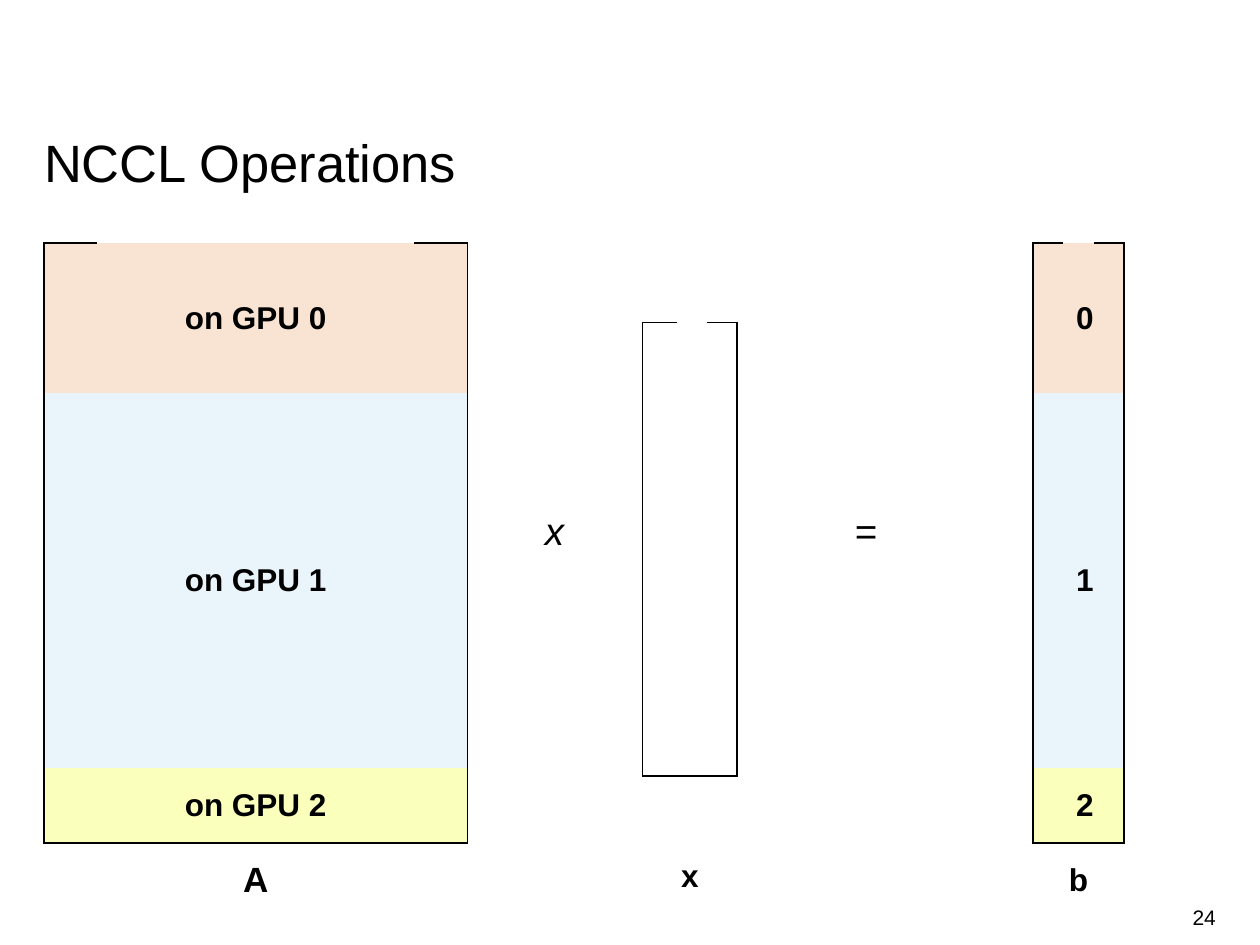
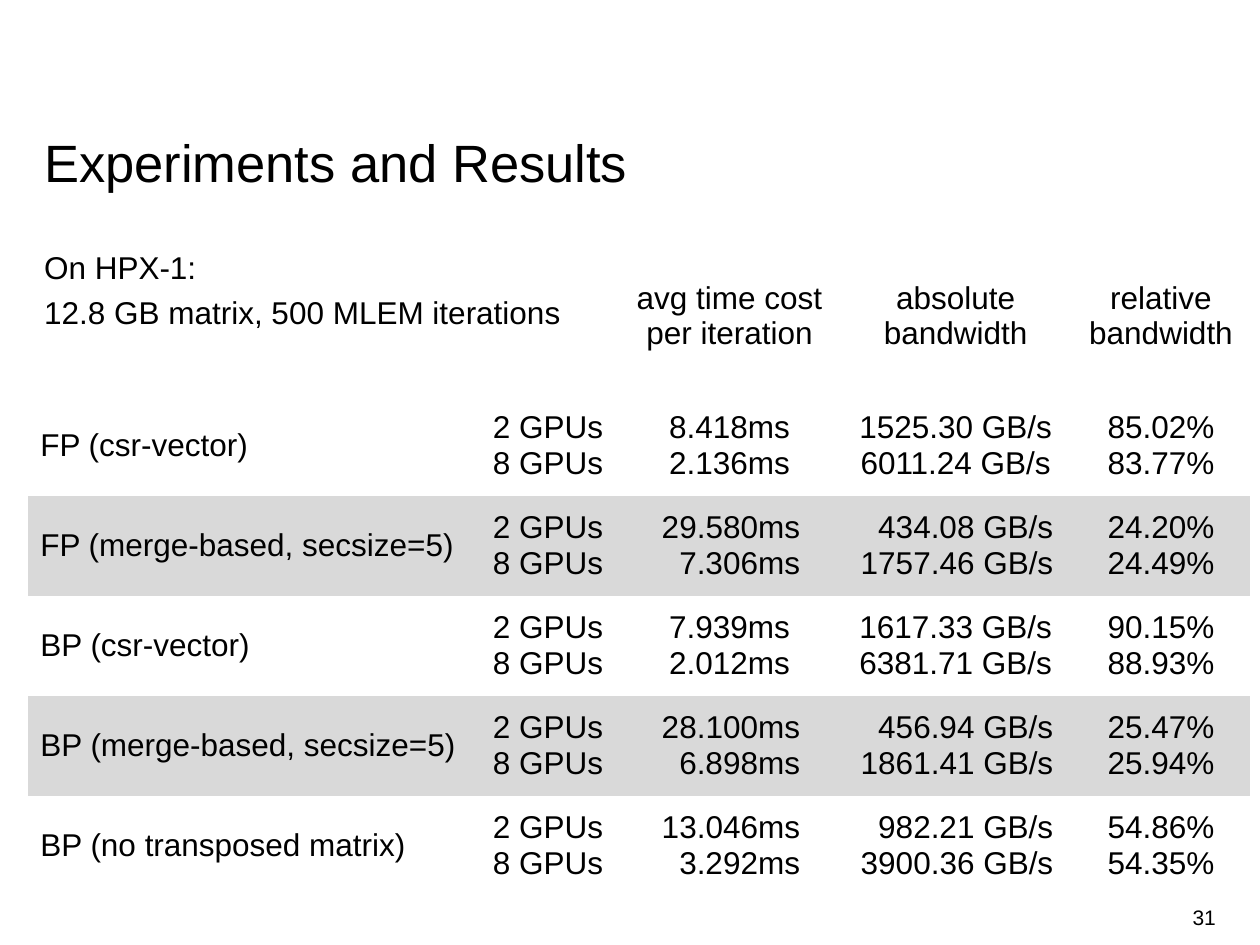
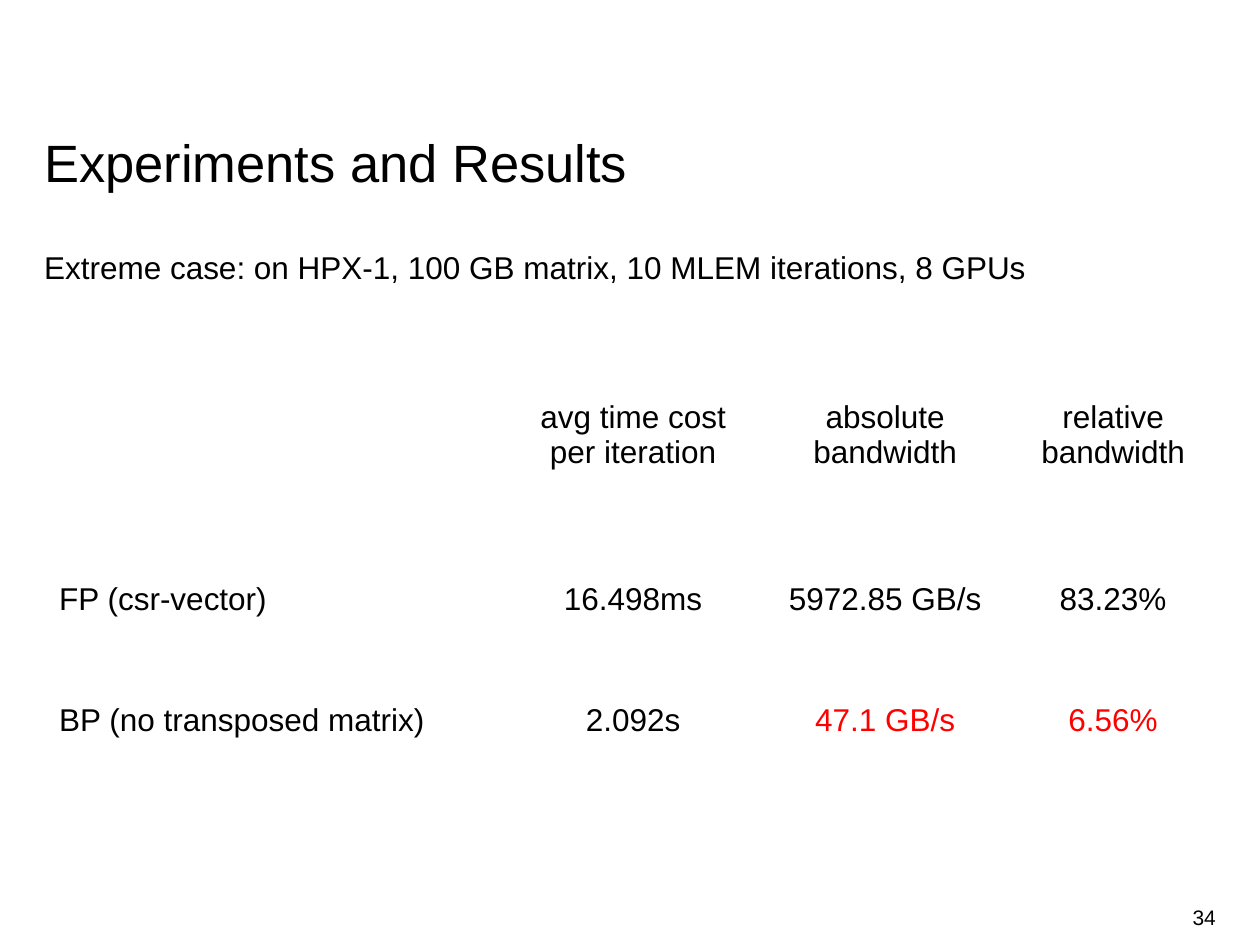
from lxml import etree
from pptx import Presentation
from pptx.dml.color import RGBColor
from pptx.enum.text import MSO_ANCHOR, PP_ALIGN
from pptx.oxml.ns import qn
from pptx.util import Inches, Pt

LEFT, CENTER, RIGHT = PP_ALIGN.LEFT, PP_ALIGN.CENTER, PP_ALIGN.RIGHT
TOP, MIDDLE, BOTTOM = MSO_ANCHOR.TOP, MSO_ANCHOR.MIDDLE, MSO_ANCHOR.BOTTOM
PLAIN_TABLE = "{2D5ABB26-0587-4C30-8999-92F81FD0307C}"
BLACK, WHITE, RED, GREY = "000000", "FFFFFF", "FF0000", "D9D9D9"
PEACH, SKY, LEMON = "F9E3D3", "EAF4FB", "FBFFBC"
COLUMNS, ROWS = 100, 75
BANDS = (2, 5, 1)


def rgb(color):
    return RGBColor.from_string(color)


class Deck:
    font = "Arial"
    margin = 3.5
    body_width = 93.1

    def __init__(self):
        self.prs = Presentation()
        self.prs.slide_width, self.prs.slide_height = Inches(10), Inches(7.5)
        self.slide = None

    def x(self, columns):
        return round(self.prs.slide_width * columns / COLUMNS)

    def y(self, rows):
        return round(self.prs.slide_height * rows / ROWS)

    def box(self, left, top, width, height):
        return self.x(left), self.y(top), self.x(width), self.y(height)

    def new_slide(self, title, number):
        self.slide = self.prs.slides.add_slide(self.prs.slide_layouts[6])
        self.text(title, self.margin, 10.9, self.body_width, 4.5, size=30, spacing=Pt(32))
        self.text(number, 74.1, 70.8, 22.4, 4, size=12, align=RIGHT, anchor=MIDDLE)

    def fill_text(self, tf, text, size=18, color=BLACK, bold=False, italic=False, align=LEFT, spacing=None):
        tf.text = text
        for p in tf.paragraphs:
            p.alignment = align
            if spacing:
                p.line_spacing = spacing
            for r in p.runs:
                r.font.name, r.font.size = self.font, Pt(size)
                r.font.bold, r.font.italic = bold, italic
                r.font.color.rgb = rgb(color)

    def text(self, text, left, top, width, height, anchor=TOP, **style):
        tf = self.slide.shapes.add_textbox(*self.box(left, top, width, height)).text_frame
        tf.word_wrap = True
        tf.vertical_anchor = anchor
        tf.margin_left = tf.margin_right = tf.margin_top = tf.margin_bottom = 0
        self.fill_text(tf, text, **style)
        return tf

    def body(self, text):
        tf = self.text(text, self.margin, 19.3, self.body_width, 9, spacing=1.14)
        for p in tf.paragraphs:
            p.space_after = Pt(1)

    def table(self, left, top, widths, heights):
        frame = self.slide.shapes.add_table(
            len(heights), len(widths), *self.box(left, top, sum(widths), sum(heights)))
        tbl = frame.table
        tbl.first_row = tbl.horz_banding = False
        frame._element.find(".//" + qn("a:tableStyleId")).text = PLAIN_TABLE
        for column, width in zip(tbl.columns, widths):
            column.width = self.x(width)
        for row, height in zip(tbl.rows, heights):
            row.height = self.y(height)
        return tbl

    def cell(self, cell, text="", fill=None, sides="", anchor=MIDDLE, **style):
        tcPr = cell._tc.get_or_add_tcPr()
        for side in "LRTB":
            if side in sides:
                ln = etree.SubElement(tcPr, qn(f"a:ln{side}"), w=str(Pt(1)))
                solid = etree.SubElement(ln, qn("a:solidFill"))
                etree.SubElement(solid, qn("a:srgbClr"), val=BLACK)
        if fill:
            cell.fill.solid()
            cell.fill.fore_color.rgb = rgb(fill)
        else:
            cell.fill.background()
        cell.vertical_anchor = anchor
        if text:
            self.fill_text(cell.text_frame, text.replace("\n", "\v"), **style)

    def matrix(self, left, top, widths, row, caption_row, labels, fills, caption, size=18, anchor=MIDDLE):
        count = sum(BANDS)
        tbl = self.table(left, top, widths, [row] * count + [caption_row])
        start = 0
        for span, label, fill in zip(BANDS, labels, fills):
            end = start + span - 1
            for i in range(start, start + span):
                ends = "T" * (i == 0) + "B" * (i == count - 1)
                self.cell(tbl.cell(i, 0), fill=fill, sides="L" + ends)
                self.cell(tbl.cell(i, 2), fill=fill, sides="R" + ends)
            middle = tbl.cell(start, 1)
            if span > 1:
                middle.merge(tbl.cell(end, 1))
            self.cell(middle, label, fill, "B" * (end == count - 1), bold=True, align=CENTER)
            start += span
        tbl.cell(count, 0).merge(tbl.cell(count, 2))
        self.cell(tbl.cell(count, 0), caption, sides="T", anchor=anchor,
                  size=size, bold=True, align=CENTER)

    def results(self, left, top, widths, heights, rows, bands=(), colors=None, insets=None):
        tbl = self.table(left, top, widths, heights)
        for i, row in enumerate(rows):
            for j, text in enumerate(row):
                cell = tbl.cell(i, j)
                align = CENTER if j else LEFT
                ragged = len({len(line) for line in text.split("\n")}) > 1
                if i and ragged and insets and j in insets:
                    align = RIGHT
                    cell.margin_right = self.x(insets[j])
                self.cell(cell, text, GREY if i in bands else None, align=align,
                          color=(colors or {}).get((i, j), BLACK))


def main():
    deck = Deck()
    headings = ["avg time cost\nper iteration", "absolute\nbandwidth", "relative\nbandwidth"]
    fills = (PEACH, SKY, LEMON)

    deck.new_slide("NCCL Operations", "24")
    for sign, left in (("x", 42), ("=", 66.7)):
        deck.text(sign, left, 40.1, 4, 4, size=22, italic=True, align=CENTER, anchor=MIDDLE)
    deck.matrix(3.5, 19.3, (4.2, 25.2, 4.2), 5.95, 5.95,
                [f"on GPU {n}" for n in range(3)], fills, "A", size=20)
    deck.matrix(82, 19.3, (2.4, 2.4, 2.4), 5.95, 5.95, "012", fills, "b")
    deck.matrix(51, 25.6, (2.7, 2.4, 2.4), 4.5, 9.9, [""] * 3, [WHITE] * 3, "x", anchor=BOTTOM)

    deck.new_slide("Experiments and Results", "31")
    deck.body("On HPX-1:\n12.8 GB matrix, 500 MLEM iterations")
    measurements = [
        ("FP (csr-vector)", "8.418ms\n2.136ms", "1525.30 GB/s\n6011.24 GB/s", "85.02%\n83.77%"),
        ("FP (merge-based, secsize=5)", "29.580ms\n7.306ms", "434.08 GB/s\n1757.46 GB/s", "24.20%\n24.49%"),
        ("BP (csr-vector)", "7.939ms\n2.012ms", "1617.33 GB/s\n6381.71 GB/s", "90.15%\n88.93%"),
        ("BP (merge-based, secsize=5)", "28.100ms\n6.898ms", "456.94 GB/s\n1861.41 GB/s", "25.47%\n25.94%"),
        ("BP (no transposed matrix)", "13.046ms\n3.292ms", "982.21 GB/s\n3900.36 GB/s", "54.86%\n54.35%"),
    ]
    rows = [["", ""] + headings]
    rows += [[name, "2 GPUs\n8 GPUs", *values] for name, *values in measurements]
    deck.results(2.2, 18.8, (35.6, 11.4, 17.4, 18.5, 14.1), [12.6] + [7.94] * 5, rows,
                 bands=(2, 4), insets={2: 3.1, 3: 1.5})

    deck.new_slide("Experiments and Results", "34")
    deck.body("Extreme case: on HPX-1, 100 GB matrix, 10 MLEM iterations, 8 GPUs")
    rows = [
        [""] + headings,
        ["FP (csr-vector)", "16.498ms", "5972.85 GB/s", "83.23%"],
        ["BP (no transposed matrix)", "2.092s", "47.1 GB/s", "6.56%"],
    ]
    deck.results(3.7, 26.2, (36.7, 19.7, 20.3, 15.9), (16.6, 9.6, 9.6), rows,
                 colors={(2, 2): RED, (2, 3): RED})

    deck.prs.save("out.pptx")


if __name__ == "__main__":
    main()
